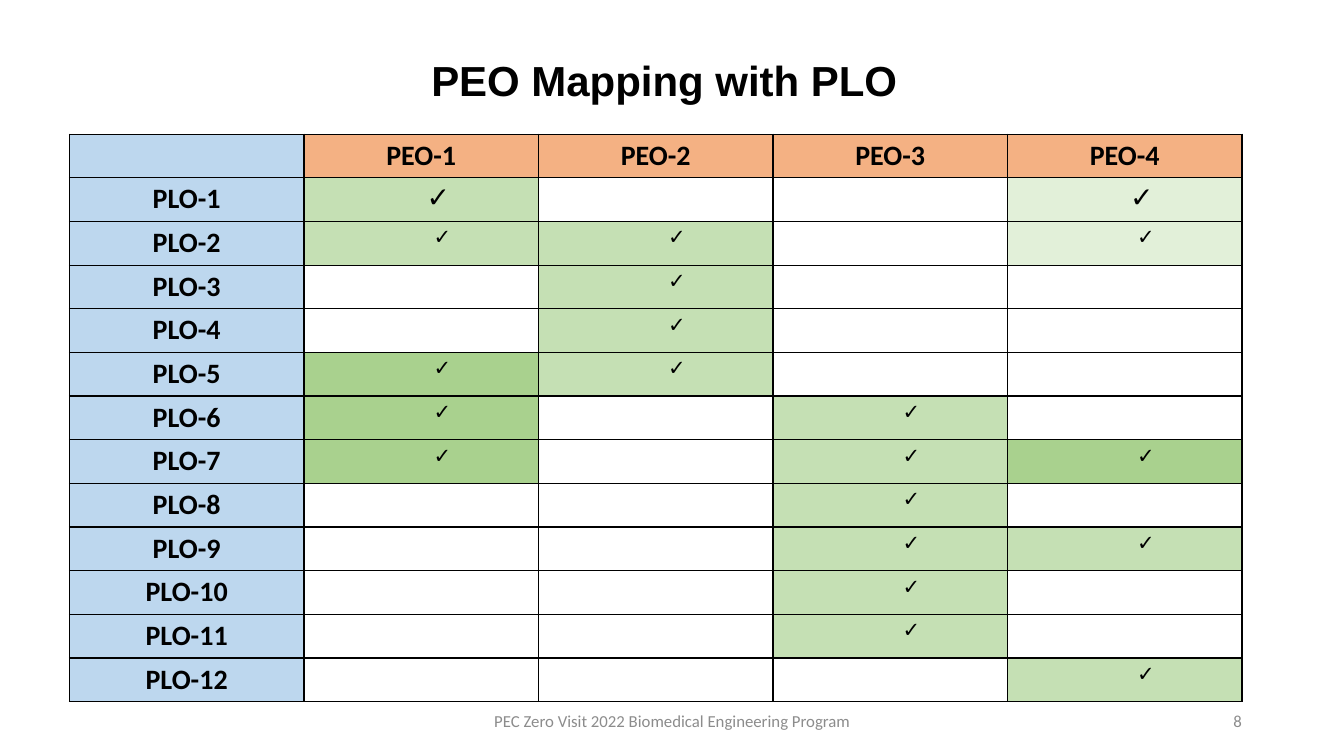
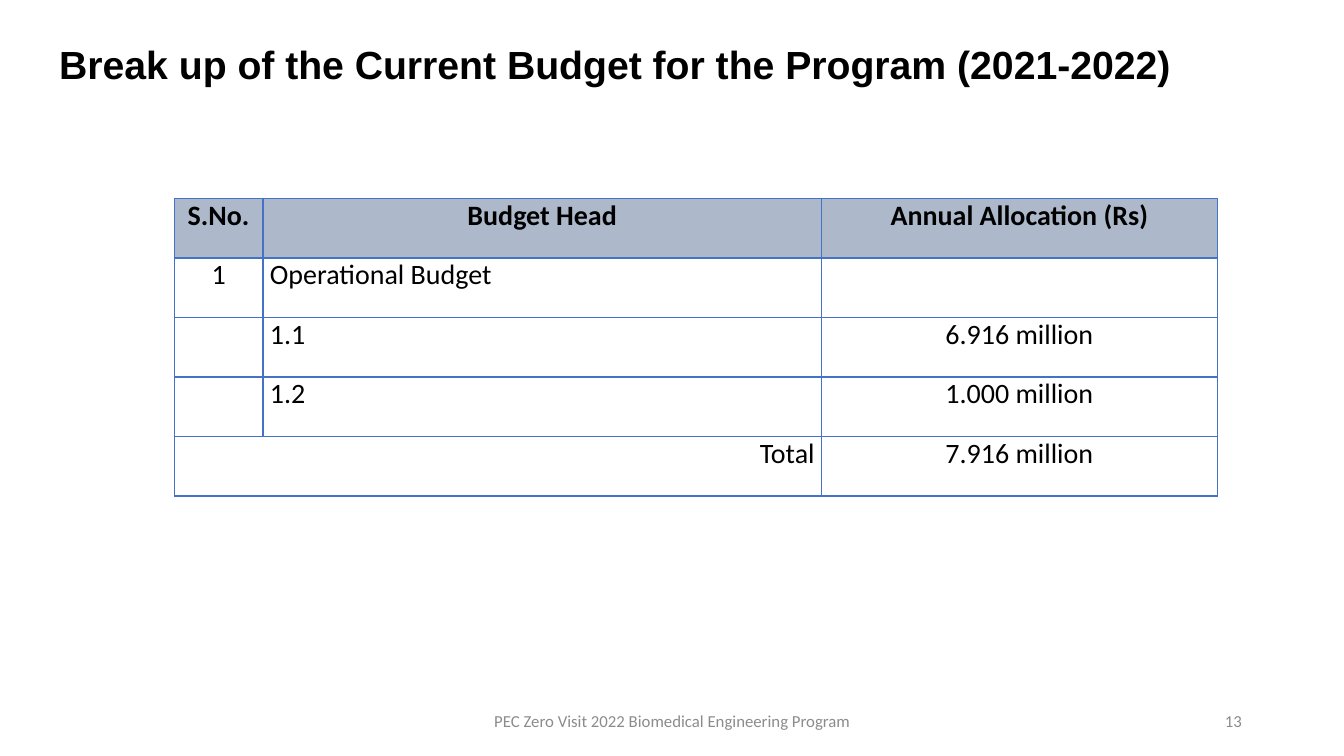
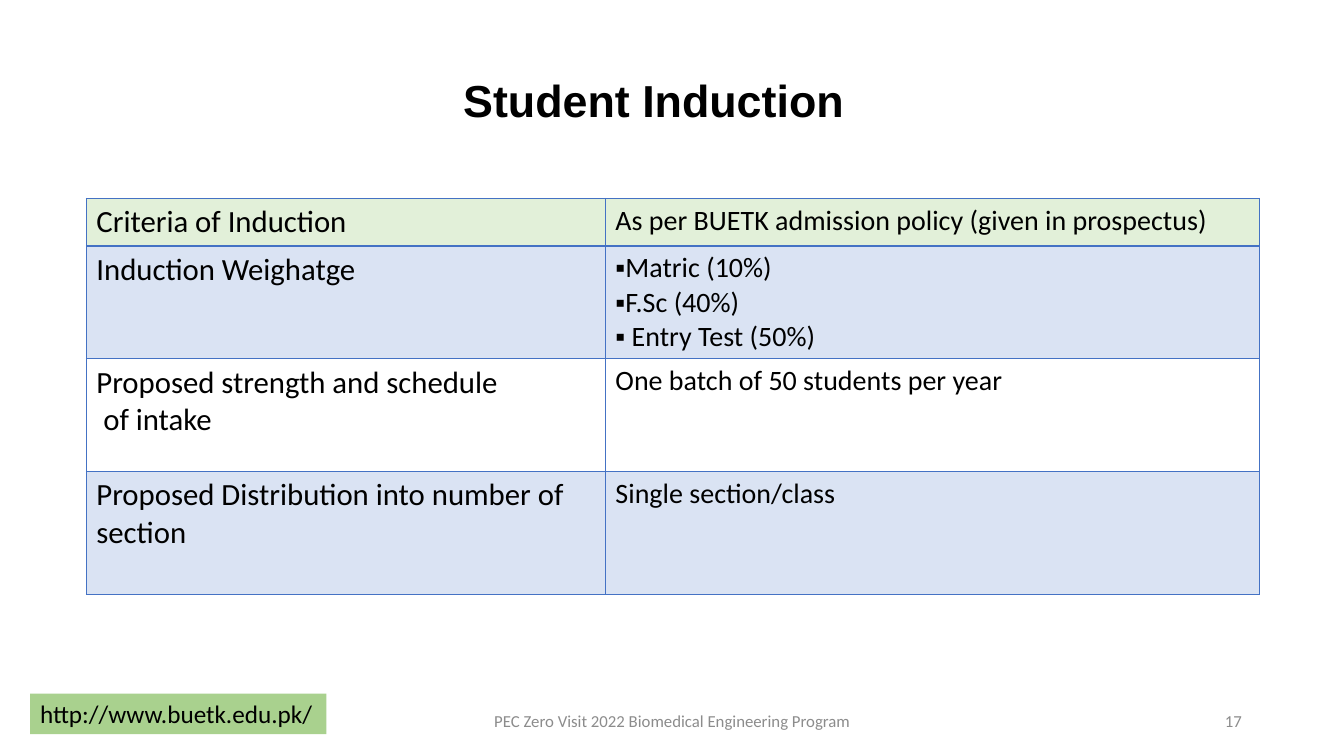
from lxml.etree import SubElement as Sub, Element as Elem
from pptx import Presentation
from pptx.dml.color import RGBColor as RGB
from pptx.enum.shapes import MSO_SHAPE as Shape
from pptx.enum.text import MSO_ANCHOR as Anchor, PP_ALIGN as Align
from pptx.oxml.ns import qn
from pptx.util import Cm, Pt

BLACK = RGB(0, 0, 0)
WHITE = RGB(255, 255, 255)
GREY = RGB(0x8C, 0x8C, 0x8C)
BLUE = RGB(0x44, 0x72, 0xC4)
TINT = RGB(0xDA, 0xE3, 0xF3)
SKY = RGB(0xBD, 0xD7, 0xEE)
SLATE = RGB(0xAD, 0xB9, 0xCA)
PEACH = RGB(0xF4, 0xB1, 0x83)
PALE = RGB(0xE2, 0xF0, 0xD9)
GREEN = RGB(0xC5, 0xE0, 0xB4)
DEEP = RGB(0xA9, 0xD1, 0x8E)

SHADES = {".": WHITE, "L": PALE, "M": GREEN, "D": DEEP}
GOALS = ["M..L", "MM.L", ".M..", ".M..", "DM..", "D.M.",
         "D.MD", "..M.", "..MM", "..M.", "..M.", "...M"]
FOOTER = "PEC Zero Visit 2022 Biomedical Engineering Program"
LEFT, MID, RIGHT = Align.LEFT, Align.CENTER, Align.RIGHT


def write(frame, text, size, align=LEFT, bold=False, face="Calibri",
          color=BLACK, indent=0, bullet=None, lead=None):
    """Fill a text frame with one paragraph per line of text."""
    for i, line in enumerate(text.split("\n")):
        para = frame.add_paragraph() if i else frame.paragraphs[0]
        para.text = line
        para.alignment = align
        if lead:
            para.line_spacing = lead
        props = para._p.get_or_add_pPr()
        if indent:
            props.set("marL", str(Cm(indent)))
            props.set("indent", "0")
        if bullet:
            Sub(props, qn("a:buFont")).set("typeface", "Arial")
            Sub(props, qn("a:buChar")).set("char", bullet)
        font = para.font
        font.size, font.bold, font.name = Pt(size), bold, face
        font.color.rgb = color


def label(slide, box, text, size, **style):
    """Add a wrapped text box with its text in the middle."""
    frame = slide.shapes.add_textbox(*map(Cm, box)).text_frame
    frame.word_wrap = True
    frame.vertical_anchor = Anchor.MIDDLE
    write(frame, text, size, **style)


def start(deck, title, size, box, number):
    """Add a slide with its title, footer and page number."""
    slide = deck.slides.add_slide(deck.slide_layouts[6])
    label(slide, box, title, size, align=MID, bold=True, face="Arial", lead=0.9)
    label(slide, (23.93, 17.65, 7.62, 1.02), str(number), 12, align=RIGHT, color=GREY)
    label(slide, (11.23, 17.65, 11.43, 1.02), FOOTER, 12, align=MID, color=GREY)
    return slide


def edge(cell, color, widths):
    """Draw the left, right, top and bottom borders of a cell."""
    props = cell._tc.get_or_add_tcPr()
    for i, (side, width) in enumerate(zip("LRTB", widths)):
        line = Elem(qn("a:ln" + side), w=str(Pt(width)))
        fill = Sub(line, qn("a:solidFill"))
        Sub(fill, qn("a:srgbClr")).set("val", str(color))
        props.insert(i, line)


def grid(slide, left, top, cols, rows, line, pad, head=1):
    """Add a plain white table with ruled borders."""
    shape = slide.shapes.add_table(len(rows), len(cols), Cm(left), Cm(top),
                                   Cm(sum(cols)), Cm(sum(rows)))
    table = shape.table
    table.first_row = table.horz_banding = False
    for col, width in zip(table.columns, cols):
        col.width = Cm(width)
    for r, height in enumerate(rows):
        table.rows[r].height = Cm(height)
        for cell in table.rows[r].cells:
            cell.margin_left = cell.margin_right = Cm(pad[0])
            cell.margin_top = cell.margin_bottom = Cm(pad[1])
            paint(cell, WHITE)
            edge(cell, line, (1, 1, head if r == 1 else 1, head if r == 0 else 1))
    return table


def paint(cell, color):
    """Give a cell a solid fill."""
    cell.fill.solid()
    cell.fill.fore_color.rgb = color


def mapping(deck):
    """Build the slide that maps objectives to outcomes."""
    slide = start(deck, "PEO Mapping with PLO ", 30, (2.29, 0.76, 29.21, 2.64), 8)
    table = grid(slide, 1.75, 3.38, [5.91] * 5, [1.1] * 13, BLACK, (0.17, 0.11))
    paint(table.cell(0, 0), SKY)
    for c in range(1, 5):
        paint(table.cell(0, c), PEACH)
        write(table.cell(0, c).text_frame, f"PEO-{c}", 20, MID, True)
    for r, marks in enumerate(GOALS, 1):
        paint(table.cell(r, 0), SKY)
        write(table.cell(r, 0).text_frame, f"PLO-{r}", 20, MID, True)
        size, indent = (20, 0.86) if r == 1 else (15, 1.07)
        for c, mark in enumerate(marks, 1):
            cell = table.cell(r, c)
            paint(cell, SHADES[mark])
            if mark != ".":
                write(cell.text_frame, "✓", size, MID, face="Arial", indent=indent)


def budget(deck):
    """Build the slide with the budget table."""
    slide = start(deck, "Break up of the Current Budget for the Program (2021-2022)",
                  28, (0.89, 0.79, 29.21, 1.78), 13)
    table = grid(slide, 4.39, 5, [2.24, 14.07, 9.98], [1.5] * 5, BLUE, (0.17, 0))
    table.cell(4, 0).merge(table.cell(4, 1))
    data = [("S.No.", "Budget Head", "Annual Allocation (Rs)"),
            ("1", "Operational Budget", ""),
            ("", "1.1", "6.916 million"),
            ("", "1.2", "1.000 million"),
            ("Total", "", "7.916 million")]
    for r, row in enumerate(data):
        for c, text in enumerate(row):
            cell = table.cell(r, c)
            if r == 0:
                paint(cell, SLATE)
            align = RIGHT if text == "Total" else LEFT if r and c == 1 else MID
            if text:
                write(cell.text_frame, text, 20, align, r == 0)


def intake(deck):
    """Build the slide on student induction."""
    slide = start(deck, "Student Induction ", 32, (2.03, 1.6, 29.21, 2.01), 17)
    table = grid(slide, 2.18, 5, [13.08, 16.48], [1.2, 2.84, 2.84, 3.1],
                 BLUE, (0.25, 0.13), head=2)
    data = [("Criteria of Induction",
             "As per BUETK admission policy (given in prospectus)", PALE, None),
            ("Induction Weighatge",
             "Matric (10%)\nF.Sc (40%)\n Entry Test (50%)", TINT, "▪"),
            ("Proposed strength and schedule\n of intake",
             "One batch of 50 students per year", WHITE, None),
            ("Proposed Distribution into number of section",
             "Single section/class", TINT, None)]
    for r, (topic, detail, color, bullet) in enumerate(data):
        first, last = table.rows[r].cells
        paint(first, color)
        paint(last, color)
        write(first.text_frame, topic, 22)
        write(last.text_frame, detail, 20, bullet=bullet)
    site(slide, (0.76, 17.48, 7.47, 1.02))


def site(slide, box):
    """Add the green box with the web address."""
    shape = slide.shapes.add_shape(Shape.RECTANGLE, *map(Cm, box))
    shape.shadow.inherit = False
    shape.fill.solid()
    shape.fill.fore_color.rgb = DEEP
    shape.line.fill.background()
    shape.text_frame.word_wrap = False
    shape.text_frame.vertical_anchor = Anchor.TOP
    write(shape.text_frame, "http://www.buetk.edu.pk/", 18)


def main():
    """Build and save the deck."""
    deck = Presentation()
    deck.slide_width, deck.slide_height = Cm(33.87), Cm(19.05)
    for build in (mapping, budget, intake):
        build(deck)
    deck.save("out.pptx")


if __name__ == "__main__":
    main()
